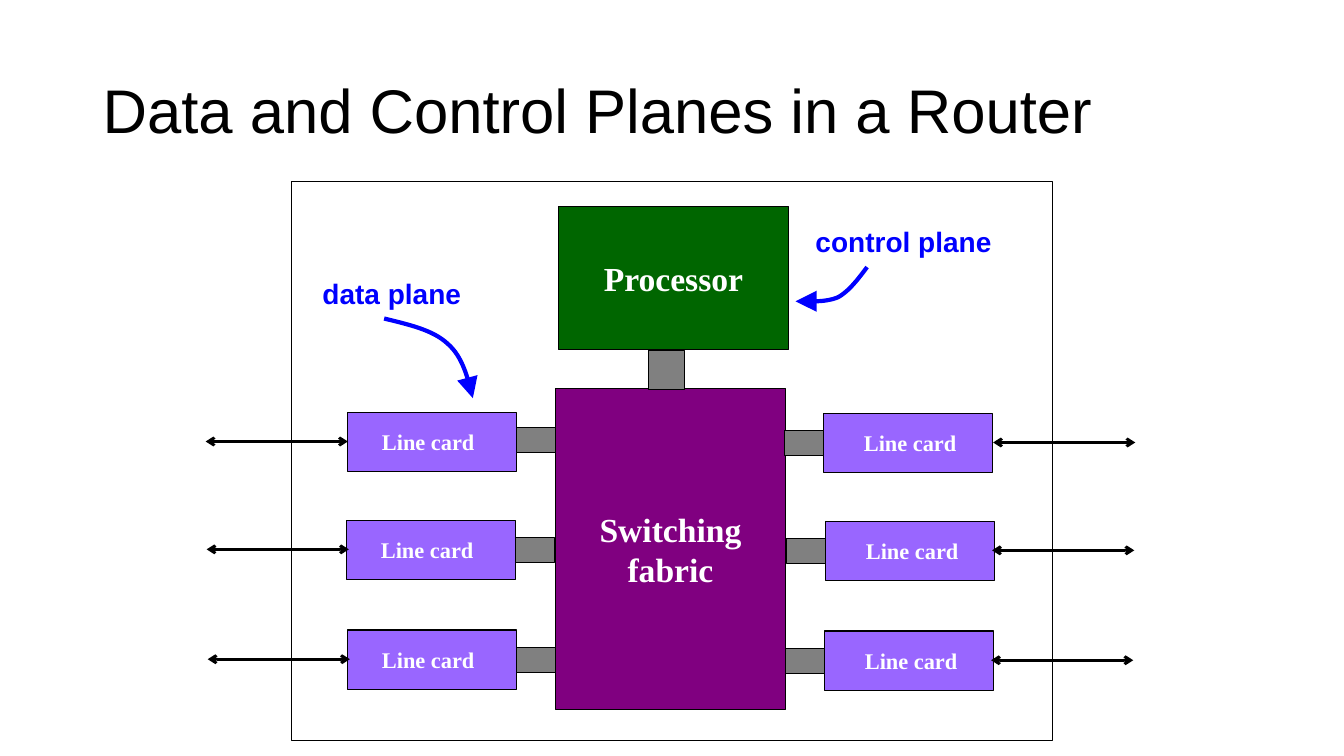
from dataclasses import dataclass

from lxml.etree import SubElement
from pptx import Presentation
from pptx.dml.color import RGBColor
from pptx.enum.shapes import MSO_CONNECTOR, MSO_SHAPE
from pptx.enum.text import MSO_ANCHOR as Anchor, MSO_AUTO_SIZE as AutoSize, PP_ALIGN as Align
from pptx.oxml.ns import qn
from pptx.shapes.autoshape import Shape
from pptx.shapes.shapetree import SlideShapes
from pptx.text.text import TextFrame
from pptx.util import Inches, Pt

BLACK, WHITE, BLUE = "000000", "FFFFFF", "0000FF"
GREEN, PURPLE, VIOLET, GRAY = "006600", "800080", "9966FF", "808080"
SANS, SERIF = "Arial", "Times New Roman"

CARD_W, CARD_H = 1.67, 0.59
BUS_W, BUS_H = 0.39, 0.25
LINK_LENGTH = 1.41
CURVE_STEPS = 16

Point = tuple[float, float]


@dataclass
class Port:
    """A line card with its bus to the fabric and its external link."""
    card_x: float
    card_y: float
    link_x: float
    on_left: bool
    bus_dy: float = 0.17


@dataclass
class PlaneLabel:
    """A caption with a curved pointer made of chained cubic Béziers."""
    caption: str
    box: tuple[float, float, float, float]
    curve: list[Point]


PORTS = [
    Port(3.45, 4.09, 3.45, True, 0.15),
    Port(3.44, 5.16, 3.46, True),
    Port(3.45, 6.25, 3.47, True),
    Port(8.17, 4.10, 9.85, False),
    Port(8.19, 5.17, 9.84, False),
    Port(8.18, 6.26, 9.83, False),
]

PLANES = [
    PlaneLabel("data plane", (3.1, 2.69, 1.57, 0.43),
               [(3.81, 3.16), (4.05, 3.22), (4.29, 3.27), (4.44, 3.41),
                (4.59, 3.54), (4.64, 3.75), (4.69, 3.95)]),
    PlaneLabel("control plane", (7.99, 2.18, 1.94, 0.43),
               [(8.6, 2.65), (8.51, 2.77), (8.42, 2.89), (8.31, 2.95),
                (8.19, 3.0), (8.04, 2.99), (7.89, 2.99)]),
]


def color(hex_code: str) -> RGBColor:
    return RGBColor.from_string(hex_code)


def write(frame: TextFrame, text: str, size: float, font: str, hex_code: str,
          bold: bool = True, align: Align = Align.LEFT) -> None:
    frame.text = text
    for paragraph in frame.paragraphs:
        paragraph.alignment = align
        for run in paragraph.runs:
            run.font.size = Pt(size)
            run.font.name = font
            run.font.bold = bold
            run.font.color.rgb = color(hex_code)


def add_block(shapes: SlideShapes, x: float, y: float, w: float, h: float,
              fill: str | None, text: str = "") -> Shape:
    """Add a thin-outlined rectangle, hollow when fill is None."""
    block = shapes.add_shape(MSO_SHAPE.RECTANGLE, Inches(x), Inches(y), Inches(w), Inches(h))
    block.shadow.inherit = False
    if fill:
        block.fill.solid()
        block.fill.fore_color.rgb = color(fill)
    else:
        block.fill.background()
    block.line.color.rgb = color(BLACK)
    block.line.width = Pt(0.75)
    if text:
        frame = block.text_frame
        frame.word_wrap = False
        frame.vertical_anchor = Anchor.MIDDLE
        write(frame, text, 24, SERIF, WHITE, align=Align.CENTER)
    return block


def add_label(shapes: SlideShapes, x: float, y: float, w: float, h: float,
              text: str, size: float, font: str, hex_code: str) -> None:
    """Add one line of text; the right inset is dropped so that it fits its box."""
    frame = shapes.add_textbox(Inches(x), Inches(y), Inches(w), Inches(h)).text_frame
    frame.word_wrap = False
    frame.auto_size = AutoSize.NONE
    frame.margin_right = 0
    write(frame, text, size, font, hex_code)


def add_title(shapes: SlideShapes, text: str) -> None:
    frame = shapes.add_textbox(Inches(0.92), Inches(0.4), Inches(11.5), Inches(1.45)).text_frame
    frame.word_wrap = True
    frame.vertical_anchor = Anchor.MIDDLE
    write(frame, text, 44, SANS, BLACK, bold=False)
    frame.paragraphs[0].line_spacing = 0.9


def add_link(shapes: SlideShapes, x1: float, x2: float, y: float) -> None:
    """Add a horizontal double-headed arrow."""
    link = shapes.add_connector(MSO_CONNECTOR.STRAIGHT, Inches(x1), Inches(y),
                                Inches(x2), Inches(y))
    link.line.color.rgb = color(BLACK)
    link.line.width = Pt(2)
    properties = link.element.spPr
    outline = properties.find(qn("a:ln"))
    for end in ("a:headEnd", "a:tailEnd"):
        SubElement(outline, qn(end), type="arrow")
    SubElement(properties, qn("a:effectLst"))


def curve_points(controls: list[Point]) -> list[Point]:
    """Sample chained cubic Béziers, leaving out the starting point."""
    points = []
    for first in range(0, len(controls) - 1, 3):
        segment = controls[first:first + 4]
        for step in range(1, CURVE_STEPS + 1):
            t = step / CURVE_STEPS
            weights = ((1 - t) ** 3, 3 * t * (1 - t) ** 2, 3 * t ** 2 * (1 - t), t ** 3)
            points.append((sum(w * x for w, (x, _) in zip(weights, segment)),
                           sum(w * y for w, (_, y) in zip(weights, segment))))
    return points


def add_plane(shapes: SlideShapes, plane: PlaneLabel) -> None:
    start_x, start_y = plane.curve[0]
    builder = shapes.build_freeform(Inches(start_x), Inches(start_y))
    builder.add_line_segments([(Inches(x), Inches(y)) for x, y in curve_points(plane.curve)],
                              close=False)
    pointer = builder.convert_to_shape()
    pointer.shadow.inherit = False
    pointer.fill.background()
    pointer.line.color.rgb = color(BLUE)
    pointer.line.width = Pt(3)
    SubElement(pointer.element.spPr.find(qn("a:ln")), qn("a:tailEnd"),
               type="triangle", w="lg", len="lg")
    add_label(shapes, *plane.box, plane.caption, 20, SANS, BLUE)


def add_port(shapes: SlideShapes, port: Port) -> None:
    x, y = port.card_x, port.card_y
    bus_x = x + CARD_W if port.on_left else x - BUS_W
    label_dx = 0.24 if port.on_left else 0.3
    outward = -LINK_LENGTH if port.on_left else LINK_LENGTH
    add_block(shapes, x, y, CARD_W, CARD_H, VIOLET)
    add_block(shapes, bus_x, y + port.bus_dy, BUS_W, BUS_H, GRAY)
    add_label(shapes, x + label_dx, y + 0.11, 1.12, 0.37, "Line card", 16, SERIF, WHITE)
    add_link(shapes, port.link_x, port.link_x + outward, y + 0.29)


def main() -> None:
    deck = Presentation()
    deck.slide_width, deck.slide_height = Inches(13.33), Inches(7.5)
    shapes = deck.slides.add_slide(deck.slide_layouts[6]).shapes

    add_title(shapes, "Data and Control Planes in a Router")
    add_block(shapes, 5.51, 3.85, 2.28, 3.19, PURPLE, "Switching\nfabric")
    add_block(shapes, 5.54, 2.05, 2.28, 1.42, GREEN, "Processor")
    add_block(shapes, 6.43, 3.48, 0.36, 0.38, GRAY)
    for port in PORTS:
        add_port(shapes, port)
    add_block(shapes, 2.89, 1.8, 7.55, 5.55, None)
    for plane in PLANES:
        add_plane(shapes, plane)

    deck.save("out.pptx")


if __name__ == "__main__":
    main()
